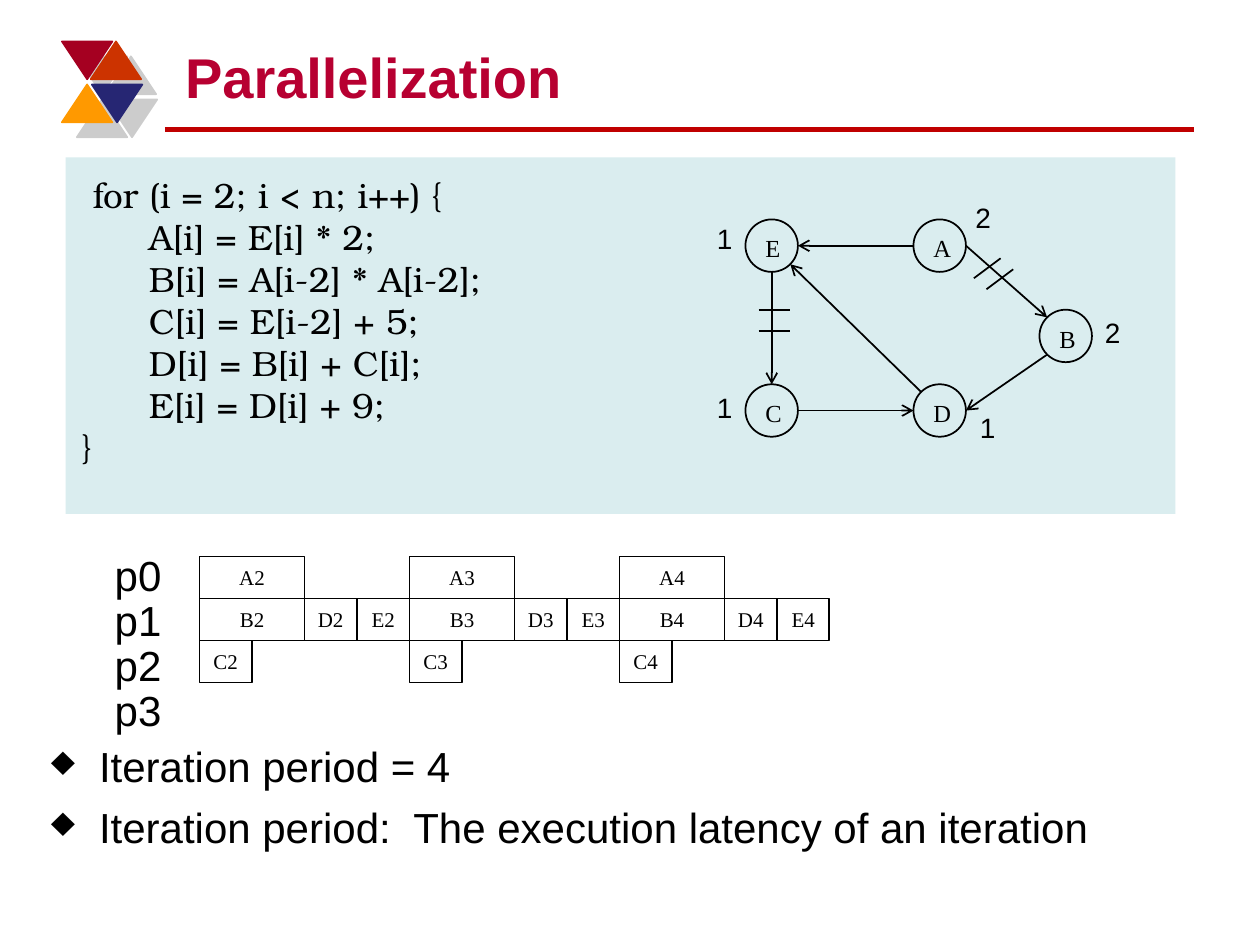
from pptx import Presentation
from pptx.dml.color import RGBColor
from pptx.enum.shapes import MSO_CONNECTOR, MSO_SHAPE
from pptx.enum.text import MSO_ANCHOR, PP_ALIGN
from pptx.oxml.ns import qn
from pptx.util import Emu, Inches, Pt
from lxml import etree

TRIANGLE = MSO_SHAPE.ISOSCELES_TRIANGLE
RECTANGLE = MSO_SHAPE.RECTANGLE
OVAL = MSO_SHAPE.OVAL
STRAIGHT = MSO_CONNECTOR.STRAIGHT
TOP, MIDDLE, BOTTOM = MSO_ANCHOR.TOP, MSO_ANCHOR.MIDDLE, MSO_ANCHOR.BOTTOM
CENTER = PP_ALIGN.CENTER

BLACK = RGBColor(0x00, 0x00, 0x00)
CRIMSON = RGBColor(0xB7, 0x00, 0x31)
RED = RGBColor(0xC0, 0x00, 0x00)
DARK_RED = RGBColor(0xA5, 0x00, 0x21)
RUST = RGBColor(0xCC, 0x33, 0x00)
ORANGE = RGBColor(0xFF, 0x99, 0x00)
NAVY = RGBColor(0x26, 0x26, 0x73)
PALE_BLUE = RGBColor(0xDA, 0xED, 0xEF)

SANS, SERIF, CODE_FONT = "Arial", "Times New Roman", "TeX Gyre Bonum"

# The slide is a grid of 24 by 18 square cells
WIDTH, HEIGHT = Inches(10), Inches(7.5)
CELL = WIDTH / 24

CODE = [
    " for (i = 2; i < n; i++) {",
    "      A[i] = E[i] * 2;",
    "      B[i] = A[i-2] * A[i-2];",
    "      C[i] = E[i-2] + 5;",
    "      D[i] = B[i] + C[i];",
    "      E[i] = D[i] + 9;",
    "}",
]
BULLETS = ["Iteration period = 4",
           "Iteration period:  The execution latency of an iteration"]

# Graph nodes are one cell wide: name -> column, row
NODES = {"A": (17.4, 4.18), "E": (14.2, 4.18), "B": (19.8, 5.9),
         "C": (14.2, 7.32), "D": (17.4, 7.32)}
# Each edge leaves and enters a circle in a (right, down) direction
EDGES = [
    ("A", (-1, 0), "E", (1, 0)),
    ("A", (1, 0), "B", (-0.71, -0.71)),
    ("B", (-0.71, 0.71), "D", (1, 0)),
    ("C", (1, 0), "D", (-1, 0)),
    ("E", (0, 1), "C", (0, -1)),
    ("D", (-0.71, -0.71), "E", (0.71, 0.71)),
]
LATENCIES = [("2", 18.34, 3.7), ("2", 20.81, 5.9), ("1", 13.42, 4.1),
             ("1", 13.42, 7.32), ("1", 18.43, 7.7)]
# Two delay marks per edge: first mark, then the shift to the second
DELAYS = [((18.55, 5.3), (19.06, 4.92), (0.24, 0.21)),
          ((14.45, 5.9), (15.05, 5.9), (0, 0.41))]

# Operations of one iteration: name, start slot, processor, slots taken
OPERATIONS = [("A", 0, 0, 2), ("B", 0, 1, 2), ("C", 0, 2, 1),
              ("D", 2, 1, 1), ("E", 3, 1, 1)]
PERIOD = 4


def grid(*cells):
    return [Emu(round(cell * CELL)) for cell in cells]


def write(shape, lines, font, size, color=BLACK, anchor=TOP, align=None, bold=False):
    frame = shape.text_frame
    frame.text = "\n".join(lines)
    frame.vertical_anchor = anchor
    for paragraph in frame.paragraphs:
        paragraph.alignment = align
        for run in paragraph.runs:
            run.font.name = font
            run.font.size = Pt(size)
            run.font.bold = bold
            run.font.color.rgb = color


def add_text(slide, box, lines, font, size, wrap=True, **style):
    shape = slide.shapes.add_textbox(*grid(*box))
    write(shape, lines, font, size, **style)
    shape.text_frame.word_wrap = wrap
    return shape


def add_shape(slide, kind, box, fill=None, line=None):
    shape = slide.shapes.add_shape(kind, *grid(*box))
    shape.shadow.inherit = False
    if fill is None:
        shape.fill.background()
    else:
        shape.fill.solid()
        shape.fill.fore_color.rgb = fill
    if line is None:
        shape.line.fill.background()
    else:
        shape.line.color.rgb = line
        shape.line.width = Pt(1)
    return shape


def add_line(slide, start, end, color=BLACK, width=1, arrow=False):
    connector = slide.shapes.add_connector(STRAIGHT, *grid(*start, *end))
    connector.line.color.rgb = color
    connector.line.width = Pt(width)
    properties = connector._element.spPr
    if arrow:
        etree.SubElement(properties.find(qn("a:ln")), qn("a:tailEnd"), type="arrow")
    etree.SubElement(properties, qn("a:effectLst"))


def add_ornament_triangle(slide, column, row, color, upside_down):
    shape = add_shape(slide, TRIANGLE, (column, row, 0.96, 0.72), color, color)
    shape.rotation = 180 if upside_down else 0
    effects = shape._element.spPr.find(qn("a:effectLst"))
    shadow = etree.SubElement(effects, qn("a:outerShdw"), dist=str(Pt(12.1)),
                              dir=str(45 * 60000), algn="ctr", rotWithShape="0")
    shade = etree.SubElement(shadow, qn("a:srgbClr"), val=str(BLACK))
    etree.SubElement(shade, qn("a:alpha"), val="20000")


def add_bullets(slide, box, lines):
    shape = add_text(slide, box, lines, SANS, 24)
    for index, paragraph in enumerate(shape.text_frame.paragraphs):
        properties = paragraph._p.get_or_add_pPr()
        properties.set("marL", str(Inches(0.38)))
        properties.set("indent", str(-Inches(0.38)))
        etree.SubElement(properties, qn("a:buChar"), char="♦")
        if index:
            paragraph.space_before = Pt(6)


def rim_point(name, direction):
    return [corner + 0.5 + 0.5 * step for corner, step in zip(NODES[name], direction)]


def add_graph(slide):
    for name, corner in NODES.items():
        node = add_shape(slide, OVAL, (*corner, 1, 1), line=BLACK)
        write(node, [name], SERIF, 14, align=CENTER)
    for source, leaving, target, entering in EDGES:
        add_line(slide, rim_point(source, leaving), rim_point(target, entering), arrow=True)
    for (x1, y1), (x2, y2), (dx, dy) in DELAYS:
        for mark in range(2):
            add_line(slide, (x1 + mark * dx, y1 + mark * dy),
                     (x2 + mark * dx, y2 + mark * dy))
    for latency, column, row in LATENCIES:
        add_text(slide, (column, row, 0.77, 0.89), [latency], SANS, 16, wrap=False)


def add_schedule(slide, left=3.8, top=10.6, row_height=0.8):
    for iteration in range(3):
        for name, start, processor, slots in OPERATIONS:
            box = (left + iteration * PERIOD + start, top + processor * row_height,
                   slots, row_height)
            block = add_shape(slide, RECTANGLE, box, line=BLACK)
            write(block, [f"{name}{iteration + 2}"], SERIF, 12, anchor=MIDDLE, align=CENTER)
    for processor in range(4):
        add_text(slide, (1.95, 10.34 + processor * 0.86, 1.58, 1.2),
                 [f"p{processor}"], SANS, 24, wrap=False)


def main():
    presentation = Presentation()
    presentation.slide_width, presentation.slide_height = WIDTH, HEIGHT
    slide = presentation.slides.add_slide(presentation.slide_layouts[6])

    # Heading with ornament and rule
    add_line(slide, (3.14, 2.47), (22.75, 2.47), RED, 3)
    add_ornament_triangle(slide, 1.18, 0.79, DARK_RED, True)
    add_ornament_triangle(slide, 1.73, 0.79, RUST, False)
    add_ornament_triangle(slide, 1.18, 1.61, ORANGE, False)
    add_ornament_triangle(slide, 1.75, 1.61, NAVY, True)
    add_text(slide, (3.29, 0.6, 19.2, 1.61), ["Parallelization"], SANS, 32,
             color=CRIMSON, anchor=BOTTOM, bold=True)

    # Loop and its data-flow graph
    add_shape(slide, RECTANGLE, (1.25, 3, 21.14, 6.79), PALE_BLUE)
    add_text(slide, (1.32, 3.19, 9.65, 5.86), CODE, CODE_FONT, 20)
    add_graph(slide)

    # Processor schedule and conclusions
    add_schedule(slide)
    add_bullets(slide, (0.74, 13.99, 21.12, 2.81), BULLETS)

    presentation.save("out.pptx")


if __name__ == "__main__":
    main()
